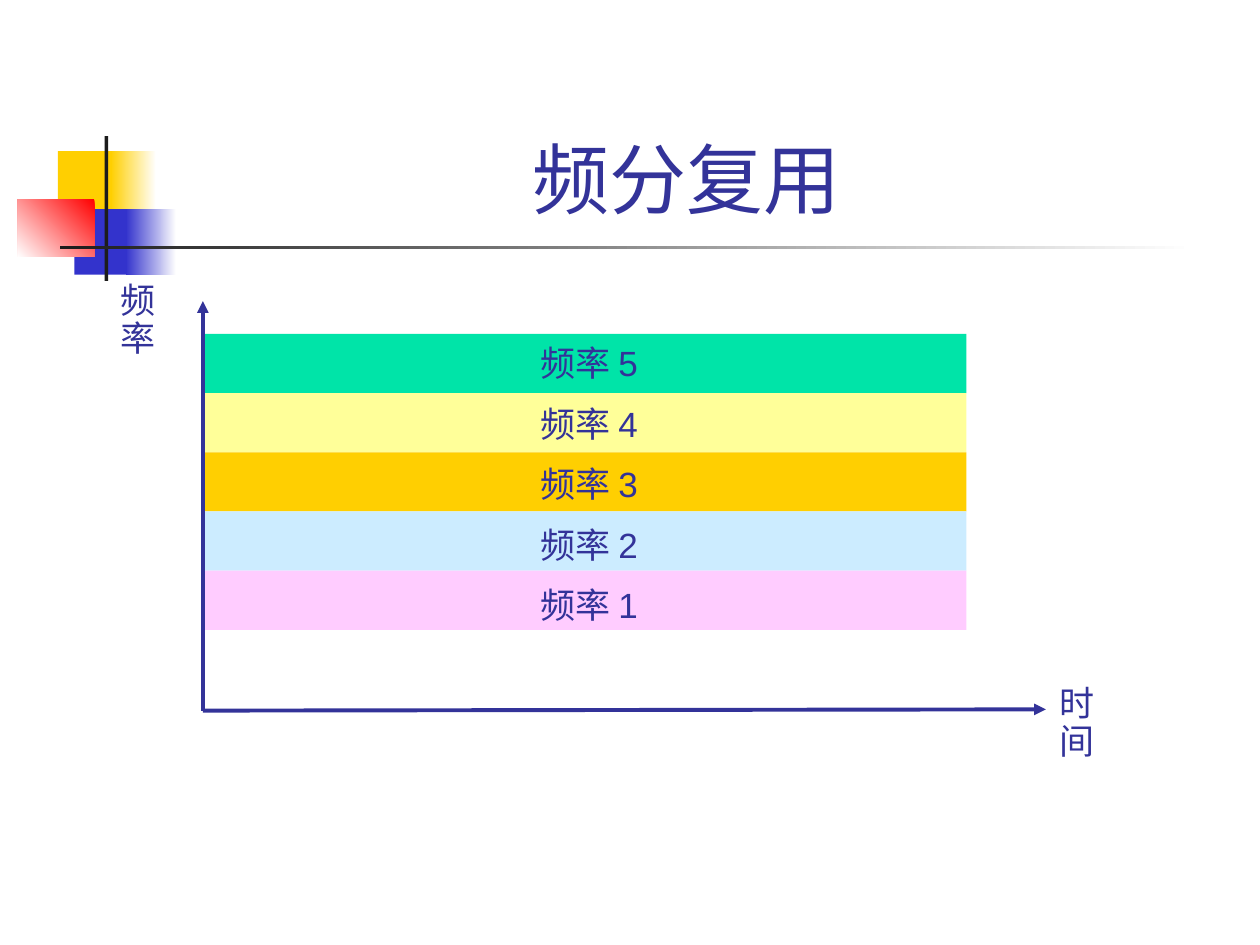
from lxml.etree import SubElement
from pptx import Presentation
from pptx.dml.color import RGBColor
from pptx.enum.shapes import MSO_CONNECTOR, MSO_SHAPE
from pptx.enum.text import MSO_ANCHOR, MSO_AUTO_SIZE, PP_ALIGN
from pptx.oxml.ns import qn
from pptx.util import Inches, Pt

NAVY = RGBColor(0x33, 0x33, 0x99)
BLUE = RGBColor(0x33, 0x33, 0xCC)
GOLD = RGBColor(0xFF, 0xCF, 0x01)
RED = RGBColor(0xFF, 0x00, 0x00)
WHITE = RGBColor(0xFF, 0xFF, 0xFF)
BLACK = RGBColor(0x1C, 0x1C, 0x1C)
GREEN = RGBColor(0x00, 0xE4, 0xA8)
YELLOW = RGBColor(0xFF, 0xFF, 0x99)
SKY = RGBColor(0xCC, 0xEC, 0xFF)
PINK = RGBColor(0xFF, 0xCC, 0xFF)


class SlideBuilder:
    latin = "Arial"
    serif = "Times New Roman"
    ink = NAVY
    title_size = Pt(44)
    label_size = Pt(20)
    axis_width = Pt(2.25)

    def __init__(self, slide):
        self.slide = slide

    def words(self, paragraph, wording, size, face):
        run = paragraph.add_run()
        run.text = wording
        run.font.size = size
        run.font.name = face
        run.font.color.rgb = self.ink

    def title(self, wording, left, top, width, height):
        heading = self.slide.shapes.title
        heading.left, heading.top = Inches(left), Inches(top)
        heading.width, heading.height = Inches(width), Inches(height)
        frame = heading.text_frame
        frame.auto_size = MSO_AUTO_SIZE.NONE
        frame.vertical_anchor = MSO_ANCHOR.BOTTOM
        paragraph = frame.paragraphs[0]
        paragraph.alignment = PP_ALIGN.CENTER
        self.words(paragraph, wording, self.title_size, self.latin)

    def block(self, left, top, width, height):
        block = self.slide.shapes.add_shape(
            MSO_SHAPE.RECTANGLE, Inches(left), Inches(top), Inches(width), Inches(height))
        block.shadow.inherit = False
        block.line.fill.background()
        return block

    def solid(self, color, *place):
        fill = self.block(*place).fill
        fill.solid()
        fill.fore_color.rgb = color

    def fade(self, start, end, angle, *place):
        fill = self.block(*place).fill
        fill.gradient()
        fill.gradient_angle = angle
        for stop, color, position in zip(fill.gradient_stops, (start, end), (0, 1)):
            stop.color.rgb = color
            stop.position = position

    def label(self, wording, left, top, width, face):
        box = self.slide.shapes.add_textbox(
            Inches(left), Inches(top), Inches(width), Inches(0.4))
        frame = box.text_frame
        frame.word_wrap = False
        frame.auto_size = MSO_AUTO_SIZE.SHAPE_TO_FIT_TEXT
        paragraph = frame.paragraphs[0]
        paragraph.line_spacing = 0.9
        self.words(paragraph, wording, self.label_size, face)

    def axis(self, x1, y1, x2, y2):
        axis = self.slide.shapes.add_connector(
            MSO_CONNECTOR.STRAIGHT, Inches(x1), Inches(y1), Inches(x2), Inches(y2))
        axis.line.color.rgb = self.ink
        axis.line.width = self.axis_width
        properties = axis.element.spPr
        SubElement(properties.find(qn("a:ln")), qn("a:tailEnd"), type="triangle")
        SubElement(properties, qn("a:effectLst"))


def main():
    deck = Presentation()
    deck.slide_width, deck.slide_height = Inches(10), Inches(7.5)
    builder = SlideBuilder(deck.slides.add_slide(deck.slide_layouts[5]))

    builder.solid(GOLD, 0.46, 1.2, 0.48, 0.52)
    builder.fade(WHITE, GOLD, 180, 0.88, 1.2, 0.36, 0.52)
    builder.solid(BLUE, 0.59, 1.66, 0.46, 0.52)
    builder.fade(WHITE, BLUE, 180, 1, 1.66, 0.4, 0.52)
    builder.fade(RED, WHITE, 225, 0.14, 1.58, 0.61, 0.46)
    builder.solid(BLACK, 0.83, 1.08, 0.03, 1.15)
    builder.fade(WHITE, BLACK, 180, 0.48, 1.95, 9, 0.03)
    builder.title("频分复用 ", 1.26, 0.23, 8.52, 1.6)

    origin_x, origin_y = 1.61, 5.64
    band_top, band_pitch = 2.65, 0.47
    label_top, label_pitch = 2.7, 0.48
    bands = (GREEN, YELLOW, GOLD, SKY, PINK)
    for row, color in enumerate(bands):
        builder.solid(color, origin_x, band_top + row * band_pitch, 6.06, band_pitch)
        builder.label(f"频率 {len(bands) - row}", 4.19,
                      label_top + row * label_pitch, 1.04, builder.latin)

    builder.axis(origin_x, origin_y, 8.3, 5.63)
    builder.axis(origin_x, origin_y, origin_x, 2.39)
    builder.label("频率", 0.86, 2.2, 0.75, builder.serif)
    builder.label("时间", 8.31, 5.4, 0.75, builder.serif)

    deck.save("out.pptx")


if __name__ == "__main__":
    main()
